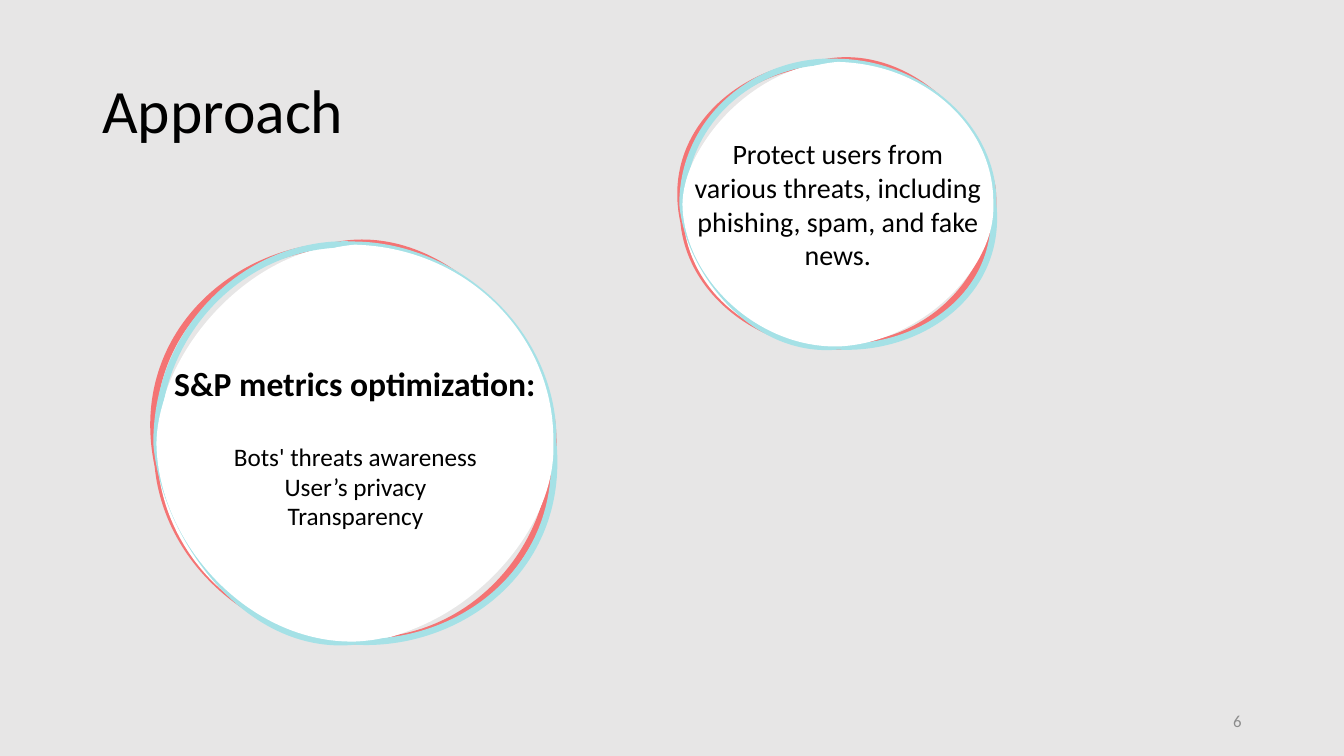
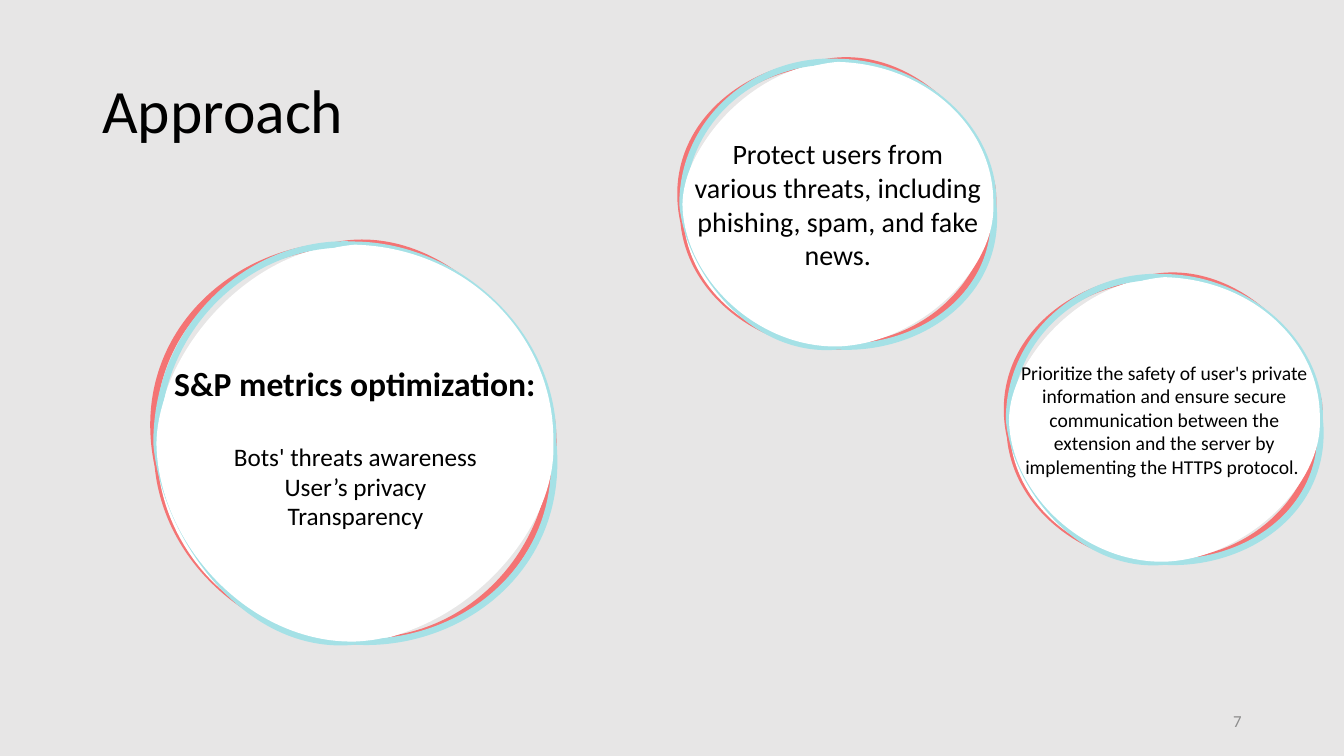
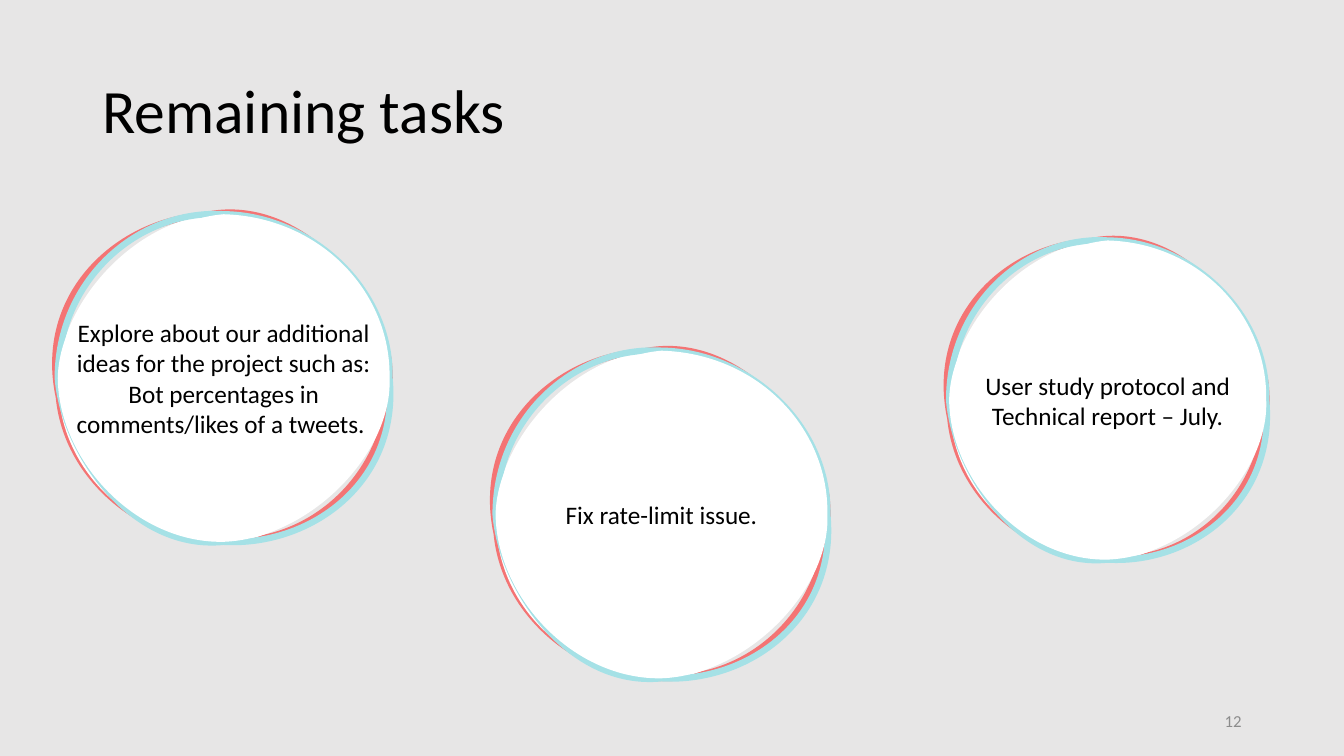
from lxml import etree
from pptx import Presentation
from pptx import util as u
from pptx.dml.color import RGBColor
from pptx.enum import text
from pptx.oxml import ns

PX = 9525
FONT = "Calibri"
GREY = RGBColor(0xE7, 0xE6, 0xE6)
WHITE = RGBColor(0xFF, 0xFF, 0xFF)
BLACK = RGBColor(0x00, 0x00, 0x00)
NUMBER_GREY = RGBColor(0x8C, 0x8C, 0x8C)
CORAL = RGBColor(0xF4, 0x74, 0x74)
AQUA = RGBColor(0xA5, 0xE1, 0xE6)

LEFT, CENTER, RIGHT = text.PP_ALIGN.LEFT, text.PP_ALIGN.CENTER, text.PP_ALIGN.RIGHT
TOP, MIDDLE = text.MSO_ANCHOR.TOP, text.MSO_ANCHOR.MIDDLE

CORAL_ANGLE = 173.4
GRID = 1000
QUARTERS = [(0, 500), (500, 0), (1000, 500), (500, 1000)]
RING_HANDLES = [
    ((0, 198), (244, -15)),
    ((761, 3), (1005, 226)),
    ((1030, 822), (759, 1015)),
    ((226, 1028), (18, 731)),
]
FACE_HANDLES = [
    ((5, 261), (266, 20)),
    ((789, 8), (1005, 236)),
    ((1010, 728), (761, 990)),
    ((236, 1005), (3, 754)),
]

METRICS_BOX = (149, 233, 378, 378)
METRICS_HEADING = "S&P metrics optimization:"
METRICS = ["Bots' threats awareness", "User’s privacy", "Transparency"]
THREATS = ((650, 59, 296, 271), 20,
           "Protect users from various threats, including phishing, spam, and fake news.")
PRIVACY = ((961, 264, 296, 271), 14,
           "Prioritize the safety of user's private information and ensure secure "
           "communication between the extension and the server by implementing the "
           "HTTPS protocol. ")
TASKS = [
    ((55, 204, 316, 312), 18,
     "Explore about our additional ideas for the project such as: Bot percentages "
     "in comments/likes of a tweets. "),
    ((472, 334, 316, 312), 18, "Fix rate-limit issue."),
    ((904, 229, 302, 304), 18, "User study protocol and Technical report – July."),
]


def write(shape, words, size, color=BLACK, align=CENTER, anchor=MIDDLE, bold=False):
    """Put one styled paragraph in a shape and return it."""
    frame = shape.text_frame
    frame.word_wrap = True
    frame.vertical_anchor = anchor
    para = frame.paragraphs[0]
    para.text = words
    para.alignment = align
    para.font.name = FONT
    para.font.size = u.Pt(size)
    para.font.bold = bold
    para.font.color.rgb = color
    return para


def add_text(page, box, words, size, **style):
    """Add a text box at a px box and return its paragraph."""
    label = page.shapes.add_textbox(*(side * PX for side in box))
    return write(label, words, size, **style)


def add_points(parent, tag, points):
    """Append a drawing command with its points."""
    command = etree.SubElement(parent, ns.qn(tag))
    for x, y in points:
        etree.SubElement(command, ns.qn("a:pt"), x=str(x), y=str(y))


def add_curves(outlines, handles, **paint):
    """Append a closed outline of four curves."""
    outline = etree.SubElement(outlines, ns.qn("a:path"), w=str(GRID), h=str(GRID), **paint)
    add_points(outline, "a:moveTo", QUARTERS[:1])
    for pair, end in zip(handles, QUARTERS[1:] + QUARTERS[:1]):
        add_points(outline, "a:cubicBezTo", [*pair, end])
    etree.SubElement(outline, ns.qn("a:close"))


def add_disc(page, box, color, angle):
    """Add a white disc with an uneven coloured ring."""
    left, top, width, height = (side * PX for side in box)
    start, *others = [(left + x * width // GRID, top + y * height // GRID)
                      for x, y in QUARTERS]
    builder = page.shapes.build_freeform(*start, scale=1.0)
    builder.add_line_segments(others, close=True)
    disc = builder.convert_to_shape()
    outlines = disc.element.find(".//" + ns.qn("a:pathLst"))
    outlines.remove(outlines[0])
    add_curves(outlines, RING_HANDLES, fill="none")
    add_curves(outlines, FACE_HANDLES, stroke="0")
    disc.rotation = angle
    disc.shadow.inherit = False
    disc.fill.solid()
    disc.fill.fore_color.rgb = WHITE
    disc.line.color.rgb = color
    disc.line.width = u.Pt(4.5)
    return disc


def add_bubble(page, box, size, words, bold=False):
    """Stack a coral and an aqua disc and write on the upper one."""
    add_disc(page, box, CORAL, CORAL_ANGLE)
    face = add_disc(page, box, AQUA, 0)
    write(face, words, size, bold=bold)
    return face


def add_metrics(page, box):
    """Draw the metrics bubble with its heading and list."""
    left, top, width, height = box
    face = add_bubble(page, box, 24, METRICS_HEADING, bold=True)
    face.text_frame.margin_bottom = 119 * PX
    for row, metric in enumerate(METRICS):
        add_text(page, (left + 42, top + 183 + 28 * row, width - 83, 68), metric, 18,
                 anchor=TOP)


def add_page(deck, title, number):
    """Add a slide with its title and number."""
    page = deck.slides.add_slide(deck.slide_layouts[6])
    heading = add_text(page, (88, 39, 1104, 139), title, 44, align=LEFT)
    heading.line_spacing = 0.9
    add_text(page, (904, 667, 288, 38), str(number), 12, color=NUMBER_GREY, align=RIGHT)
    return page


def add_approach(deck, number, bubbles):
    """Add an approach slide with the metrics and the given bubbles."""
    page = add_page(deck, "Approach", number)
    add_metrics(page, METRICS_BOX)
    for bubble in bubbles:
        add_bubble(page, *bubble)


def add_tasks(deck, number):
    """Add the slide of remaining tasks."""
    page = add_page(deck, "Remaining tasks", number)
    for task in TASKS:
        add_bubble(page, *task)


def main():
    """Build and save the deck."""
    deck = Presentation()
    deck.slide_width, deck.slide_height = 1280 * PX, 720 * PX
    backdrop = deck.slide_master.background.fill
    backdrop.solid()
    backdrop.fore_color.rgb = GREY
    add_approach(deck, 6, [THREATS])
    add_approach(deck, 7, [THREATS, PRIVACY])
    add_tasks(deck, 12)
    deck.save("out.pptx")


if __name__ == "__main__":
    main()
